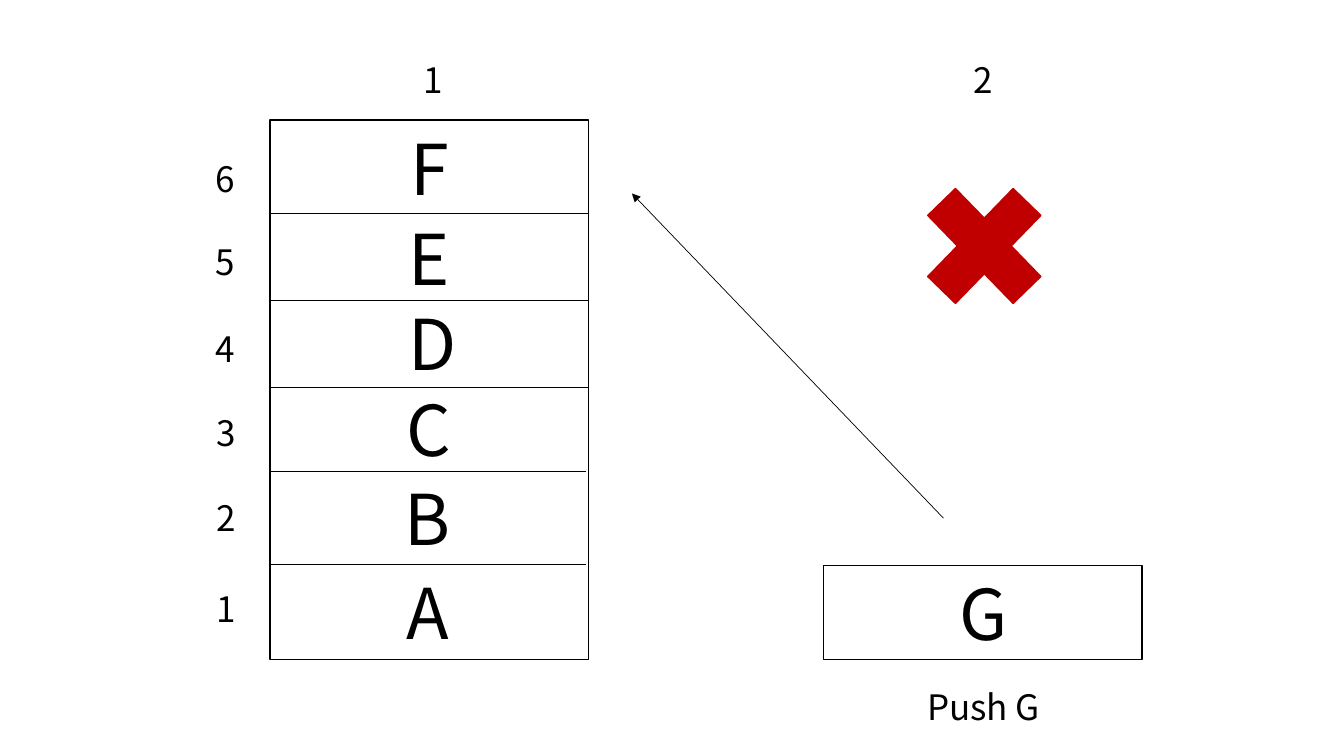
import pptx
import pptx.util
import pptx.dml.color
import pptx.enum.shapes
import pptx.enum.text
import pptx.oxml
import pptx.oxml.ns
from dataclasses import dataclass

Pt = pptx.util.Pt
KINDS = pptx.enum.shapes.MSO_SHAPE
FONT = "Noto Sans CJK KR"
BLACK, WHITE, RED = "000000", "FFFFFF", "C00000"
BIG, SMALL = 50, 25
HIGH = {BIG: 67.7, SMALL: 37.4}
DIGIT = 28.1


@dataclass
class Label:
    text: str
    left: float
    top: float
    width: float = DIGIT
    size: int = SMALL


@dataclass
class Box:
    kind: KINDS
    left: float
    top: float
    width: float
    height: float
    fill: str
    edge: str = BLACK


@dataclass
class Line:
    left: float
    top: float
    right: float
    low: float
    arrow: bool = False


def color(code: str) -> pptx.dml.color.RGBColor:
    return pptx.dml.color.RGBColor.from_string(code)


def format(item: object, values: dict) -> None:
    for name, value in values.items():
        setattr(item, name, value)


def add_label(slide, label: Label) -> None:
    box = slide.shapes.add_textbox(Pt(label.left), Pt(label.top),
                                   Pt(label.width), Pt(HIGH[label.size]))
    format(box.text_frame, {"word_wrap": False,
                            "auto_size": pptx.enum.text.MSO_AUTO_SIZE.SHAPE_TO_FIT_TEXT})
    run = box.text_frame.paragraphs[0].add_run()
    run.text = label.text
    format(run.font, {"name": FONT, "size": Pt(label.size)})
    run.font.color.rgb = color(BLACK)


def add_box(slide, box: Box) -> None:
    shape = slide.shapes.add_shape(box.kind, Pt(box.left), Pt(box.top),
                                   Pt(box.width), Pt(box.height))
    shape.shadow.inherit = False
    shape.fill.solid()
    shape.fill.fore_color.rgb = color(box.fill)
    shape.line.color.rgb = color(box.edge)
    shape.line.width = Pt(1)


def add_line(slide, line: Line) -> None:
    link = slide.shapes.add_connector(
        pptx.enum.shapes.MSO_CONNECTOR.STRAIGHT,
        Pt(line.left), Pt(line.top), Pt(line.right), Pt(line.low))
    link.line.color.rgb = color(BLACK)
    link.line.width = Pt(0.5)
    if line.arrow:
        tip = pptx.oxml.parse_xml(
            f'<a:tailEnd {pptx.oxml.ns.nsdecls("a")} type="triangle"/>')
        link.line._get_or_add_ln().append(tip)
    link._element.spPr.append(pptx.oxml.parse_xml(
        f'<a:effectLst {pptx.oxml.ns.nsdecls("a")}/>'))


deck = pptx.Presentation()
format(deck, {"slide_width": Pt(960), "slide_height": Pt(540)})
slide = deck.slides.add_slide(deck.slide_layouts[6])

# Stack frame and its dividers
add_box(slide, Box(KINDS.RECTANGLE, 193, 85.7, 227.5, 385.2, WHITE))
for left, right, level in [(193, 420.5, 152.6), (193, 419.8, 214.6), (193, 419.8, 276.5),
                           (192.2, 418.5, 337), (192.2, 418.5, 403.2)]:
    add_line(slide, Line(left, level, right, level))

# Stack letters, bottom to top
for letter in [Label("A", 283, 403.2, 47.5, BIG), Label("B", 282.2, 336.2, 43.9, BIG),
               Label("C", 283, 272.9, 47.5, BIG), Label("D", 284.4, 211, 51.1, BIG),
               Label("E", 284.4, 150.5, 40.3, BIG), Label("F", 285.8, 86.4, 39.6, BIG)]:
    add_label(slide, letter)

# Level numbers, bottom to top
for number, top in enumerate([416.2, 351.4, 290.2, 230.4, 168.5, 108.7], 1):
    add_label(slide, Label(str(number), 147.6 if number < 4 else 146.9, top))

# Column numbers
for number, left in enumerate([295.2, 688.3], 1):
    add_label(slide, Label(str(number), left, 38.2))

# Pushed item
add_box(slide, Box(KINDS.RECTANGLE, 588.2, 403.9, 227.5, 67, WHITE))
add_label(slide, Label("G", 678.2, 403.9, 49.7, BIG))
add_label(slide, Label("Push G", 655.2, 486, 95.8))

# Failed push: cross and arrow
add_box(slide, Box(KINDS.MATH_MULTIPLY, 644.4, 115.2, 117.4, 121, RED, RED))
add_line(slide, Line(673.9, 370.1, 451.4, 138.2, True))

deck.save("out.pptx")
